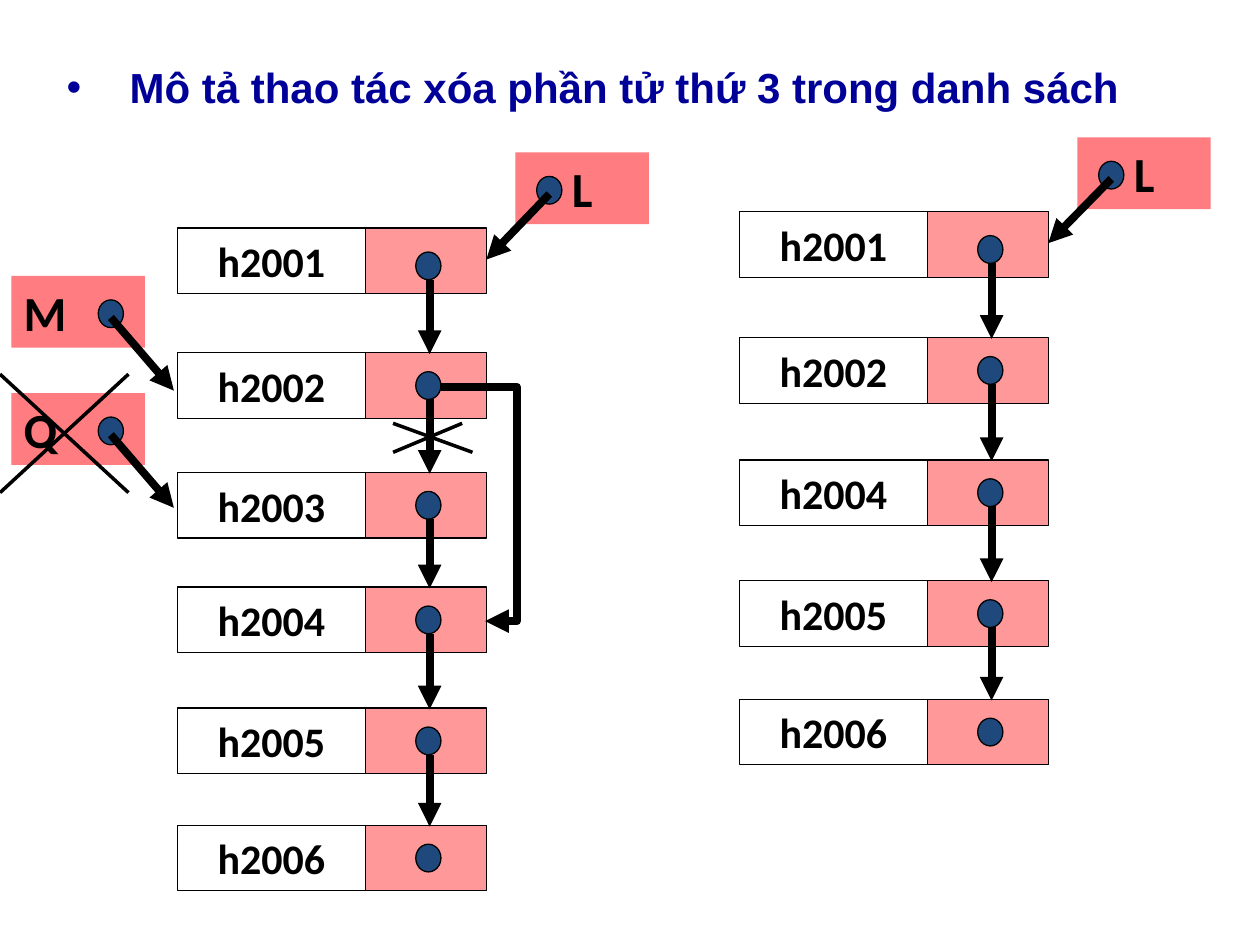
from lxml import etree
from pptx import Presentation
from pptx.dml.color import RGBColor
from pptx.enum.shapes import MSO_CONNECTOR, MSO_SHAPE
from pptx.enum.text import MSO_ANCHOR, PP_ALIGN
from pptx.oxml.ns import qn
from pptx.util import Inches, Pt

RECTANGLE, OVAL = MSO_SHAPE.RECTANGLE, MSO_SHAPE.OVAL
STRAIGHT, ELBOW = MSO_CONNECTOR.STRAIGHT, MSO_CONNECTOR.ELBOW
LEFT, CENTER = PP_ALIGN.LEFT, PP_ALIGN.CENTER
TOP, MIDDLE = MSO_ANCHOR.TOP, MSO_ANCHOR.MIDDLE

COLORS = {
    "title": "000099",
    "ink": "000000",
    "value": "FFFFFF",
    "link": "FF0000",
    "variable": "FF7C80",
    "dot": "1F497D",
}

# The slide is a grid of 100 columns by 75 rows, each cell a tenth of an inch.
COLUMNS, ROWS = 100, 75
CELL = Inches(0.1)
VALUE_W, LINK_W, NODE_H = 14.9, 9.6, 5.2
VARIABLE_W, VARIABLE_H = 10.6, 5.7
DOT_W, DOT_H = 2, 2.2
ARROW_PT, CROSS_PT = 4.5, 2


def grid(*cells):
    return [round(cell * CELL) for cell in cells]


def rgb(name):
    return RGBColor.from_string(COLORS[name])


def write(shape, text, size, font="Calibri", color="ink", align=LEFT,
          anchor=MIDDLE, indent=0, bullet=None):
    """Put one bold paragraph in a shape; indent is in grid columns."""
    frame = shape.text_frame
    frame.word_wrap = True
    frame.vertical_anchor = anchor
    paragraph = frame.paragraphs[0]
    paragraph.alignment = align
    properties = paragraph._p.get_or_add_pPr()
    properties.set("marL", str(grid(indent)[0]))
    if bullet:
        properties.set("indent", str(-grid(indent)[0]))
        etree.SubElement(properties, qn("a:buFont")).set("typeface", font)
        etree.SubElement(properties, qn("a:buChar")).set("char", bullet)
    run = paragraph.add_run()
    run.text = text
    run.font.name, run.font.size, run.font.bold = font, Pt(size), True
    run.font.color.rgb = rgb(color)


def add_block(shapes, kind, box, fill, opacity=100, outlined=True):
    block = shapes.add_shape(kind, *grid(*box))
    block.shadow.inherit = False
    block.fill.solid()
    block.fill.fore_color.rgb = rgb(fill)
    if opacity < 100:
        tint = block._element.spPr.find(qn("a:solidFill"))[0]
        etree.SubElement(tint, qn("a:alpha")).set("val", str(opacity * 1000))
    if outlined:
        block.line.color.rgb = rgb("ink")
        block.line.width = Pt(0.75)
    else:
        block.line.fill.background()
    return block


def add_line(shapes, start, end, width, kind=STRAIGHT, arrow=False):
    line = shapes.add_connector(kind, *grid(*start, *end))
    line.line.color.rgb = rgb("ink")
    line.line.width = Pt(width)
    properties = line._element.spPr
    if arrow:
        outline = properties.find(qn("a:ln"))
        etree.SubElement(outline, qn("a:tailEnd")).set("type", "triangle")
    etree.SubElement(properties, qn("a:effectLst"))
    return line


def add_dot(shapes, left, top):
    add_block(shapes, OVAL, (left, top, DOT_W, DOT_H), "dot")


def add_title(shapes, box, text):
    write(shapes.add_textbox(*grid(*box)), text, 24, font="Arial",
          color="title", anchor=TOP, indent=5, bullet="•")


def add_chain(shapes, left, nodes):
    """Stack list nodes, each linked to the one below it."""
    link_left = left + VALUE_W
    dot_left = link_left + 4
    for label, top in nodes.items():
        value = add_block(shapes, RECTANGLE, (left, top, VALUE_W, NODE_H),
                          "value", opacity=38)
        write(value, label, 24, align=CENTER)
        add_block(shapes, RECTANGLE, (link_left, top, LINK_W, NODE_H),
                  "link", opacity=40)
    tops = list(nodes.values())
    for index, top in enumerate(tops):
        dot_top = top + (1.9 if index == 0 else 1.5)
        add_dot(shapes, dot_left, dot_top)
        if index + 1 < len(tops):
            arrow_x = dot_left + DOT_W / 2 + 0.1
            add_line(shapes, (arrow_x, dot_top + DOT_H),
                     (arrow_x, tops[index + 1] + 0.1), ARROW_PT, arrow=True)


def add_variable(shapes, left, top, label, dot_x, reach, indent=0):
    """Draw a pointer variable; reach is the arrow's run and drop."""
    block = add_block(shapes, RECTANGLE, (left, top, VARIABLE_W, VARIABLE_H),
                      "variable", outlined=False)
    write(block, label, 28, indent=indent)
    add_dot(shapes, left + dot_x, top + 1.9)
    start = (left + dot_x + 1, top + 3.3)
    end = (start[0] + reach[0], start[1] + reach[1])
    add_line(shapes, start, end, ARROW_PT, arrow=True)


def add_bypass(shapes, start, end, bulge):
    """Route an arrow around a node; bulge is the share of its width."""
    bypass = add_line(shapes, start, end, ARROW_PT, kind=ELBOW, arrow=True)
    geometry = bypass._element.spPr.find(qn("a:prstGeom"))
    guide = etree.SubElement(geometry.find(qn("a:avLst")), qn("a:gd"))
    guide.set("name", "adj1")
    guide.set("fmla", f"val {round(bulge * 100000)}")


def add_cross(shapes, left, top, width, height, rising_share=1):
    bottom = top + height
    add_line(shapes, (left, top), (left + width, bottom), CROSS_PT)
    add_line(shapes, (left, bottom), (left + width * rising_share, top),
             CROSS_PT)


def add_before(shapes, left):
    """The list while its third node is being taken out."""
    add_chain(shapes, left, {"h2001": 18.1, "h2002": 28, "h2003": 37.5,
                             "h2004": 46.6, "h2005": 56.2, "h2006": 65.5})
    add_variable(shapes, left + 26.8, 12.1, "L", 1.7, (-5, 5.2), indent=3.5)
    for label, top in {"Q": 31.2, "M": 21.9}.items():
        add_variable(shapes, left - 13.2, top, label, 6.9, (5, 5.8))
    add_bypass(shapes, (left + 20.9, 30.7), (left + 24.4, 49.3), 1.72)
    add_cross(shapes, left + 17.1, 33.6, 6.3, 2.3, rising_share=0.87)
    add_cross(shapes, left - 14.1, 29.7, 10.2, 9.4)


def add_after(shapes, left):
    """The list once the third node is gone."""
    add_chain(shapes, left, {"h2001": 16.8, "h2002": 26.8, "h2004": 36.5,
                             "h2005": 46.1, "h2006": 55.5})
    add_variable(shapes, left + 26.8, 10.9, "L", 1.7, (-5, 5.1), indent=3.5)


def main():
    deck = Presentation()
    deck.slide_width, deck.slide_height = grid(COLUMNS, ROWS)
    shapes = deck.slides.add_slide(deck.slide_layouts[6]).shapes
    add_title(shapes, (4.3, 4.4, 92.1, 6.3),
              "Mô tả thao tác xóa phần tử thứ 3 trong danh sách")
    add_after(shapes, 58.7)
    add_before(shapes, 14.1)
    deck.save("out.pptx")


if __name__ == "__main__":
    main()
